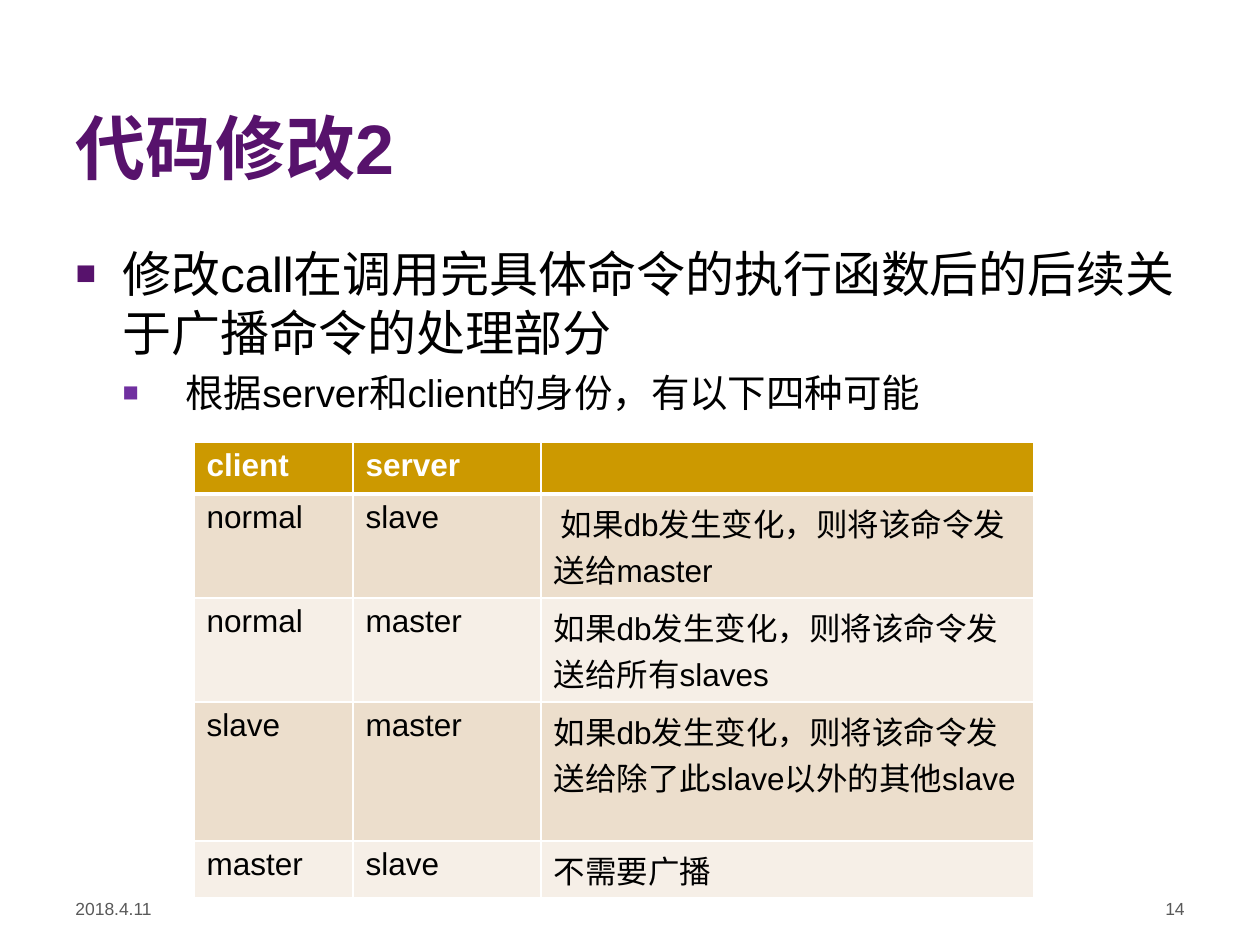
"""Build the slide on code change 2, with its table of broadcast cases."""
import pptx
import pptx.dml.color
import pptx.enum.text
import pptx.oxml
import pptx.oxml.ns
import pptx.util

TITLE = "代码修改2"
POINTS = [
    {"text": "修改call在调用完具体命令的执行函数后的后续关于广播命令的处理部分",
     "level": 0, "size": "point", "bullet": "accent", "margin": 47, "hanging": 47, "before": 0},
    {"text": "根据server和client的身份，有以下四种可能",
     "level": 1, "size": "subpoint", "bullet": "subaccent", "margin": 110, "hanging": 63, "before": 4.4},
]
CASES = [
    ("client", "server", ""),
    ("normal", "slave", " 如果db发生变化，则将该命令发送给master"),
    ("normal", "master", "如果db发生变化，则将该命令发送给所有slaves"),
    ("slave", "master", "如果db发生变化，则将该命令发送给除了此slave以外的其他slave"),
    ("master", "slave", "不需要广播"),
]
COLUMN_WIDTHS = [159, 188, 493]
ROW_HEIGHTS = [52, 104, 104, 139, 57]
FOOTERS = [("2018.4.11", 63, "LEFT"), ("14", 903, "RIGHT")]

THEME = {
    "font": "Arial",
    "colors": {"accent": "57126C", "subaccent": "7030A0", "text": "000000", "muted": "595959",
               "white": "FFFFFF", "header": "CC9900", "odd": "ECDECC", "even": "F6EFE7"},
    "sizes": {"title": 40, "point": 28, "subpoint": 22, "table": 18, "footer": 10},
}
SCALE = 914400 / 126


def px(length):
    """Turn px into EMU."""
    return pptx.util.Emu(round(length * SCALE))


def color(name):
    """Look up a theme colour."""
    return pptx.dml.color.RGBColor.from_string(THEME["colors"][name])


def place(shape, left, top, width, height):
    """Move and size a shape in px."""
    shape.left, shape.top, shape.width, shape.height = map(px, (left, top, width, height))


def write(paragraph, text, size="table", fill="text", bold=False, align="LEFT"):
    """Put formatted text in a paragraph."""
    paragraph.alignment = getattr(pptx.enum.text.PP_ALIGN, align)
    font = paragraph.font
    if text:
        run = paragraph.add_run()
        run.text = text
        font = run.font
    font.name = THEME["font"]
    font.size = pptx.util.Pt(THEME["sizes"][size])
    font.bold = bold
    font.color.rgb = color(fill)


def add_xml(parent, xml):
    """Append a DrawingML element."""
    namespace = pptx.oxml.ns.nsdecls("a")
    parent.append(pptx.oxml.parse_xml(xml.replace(" ", f" {namespace} ", 1)))


def add_bullet(paragraph, name, margin, hanging):
    """Give a paragraph a square bullet and a hanging indent."""
    properties = paragraph._p.get_or_add_pPr()
    properties.set("marL", str(px(margin)))
    properties.set("indent", str(-px(hanging)))
    add_xml(properties, f'<a:buClr ><a:srgbClr val="{THEME["colors"][name]}"/></a:buClr>')
    add_xml(properties, '<a:buSzPct val="70000"/>')
    add_xml(properties, f'<a:buFont typeface="{THEME["font"]}"/>')
    add_xml(properties, '<a:buChar char="■"/>')


def add_borders(cell, row):
    """Draw white cell borders, thick below the header row."""
    widths = {"L": 1, "R": 1, "T": 3 if row == 1 else 1, "B": 3 if row == 0 else 1}
    for side, width in widths.items():
        add_xml(cell._tc.get_or_add_tcPr(),
                f'<a:ln{side} w="{pptx.util.Pt(width)}"><a:solidFill>'
                f'<a:srgbClr val="{THEME["colors"]["white"]}"/></a:solidFill></a:ln{side}>')


def add_title(slide):
    """Fill the title placeholder."""
    shape = slide.shapes.title
    place(shape, 63, 16, 1040, 179)
    frame = shape.text_frame
    frame.auto_size = pptx.enum.text.MSO_AUTO_SIZE.NONE
    frame.vertical_anchor = pptx.enum.text.MSO_ANCHOR.BOTTOM
    write(frame.paragraphs[0], TITLE, size="title", fill="accent", bold=True)


def add_points(slide):
    """Fill the body placeholder with the bulleted list."""
    shape = slide.placeholders[1]
    place(shape, 63, 237, 1134, 650)
    frame = shape.text_frame
    frame.auto_size = pptx.enum.text.MSO_AUTO_SIZE.NONE
    for index, point in enumerate(POINTS):
        paragraph = frame.add_paragraph() if index else frame.paragraphs[0]
        paragraph.level = point["level"]
        paragraph.space_before = pptx.util.Pt(point["before"])
        add_bullet(paragraph, point["bullet"], point["margin"], point["hanging"])
        write(paragraph, point["text"], size=point["size"])


def add_cases(slide):
    """Add the table of client and server roles."""
    frame = slide.shapes.add_table(len(CASES), len(COLUMN_WIDTHS), px(194), px(442),
                                   px(sum(COLUMN_WIDTHS)), px(sum(ROW_HEIGHTS)))
    table = frame.table
    for column, width in zip(table.columns, COLUMN_WIDTHS):
        column.width = px(width)
    for row, (texts, height) in enumerate(zip(CASES, ROW_HEIGHTS)):
        table.rows[row].height = px(height)
        header = row == 0
        background = "header" if header else ("even", "odd")[row % 2]
        for column, text in enumerate(texts):
            cell = table.cell(row, column)
            add_borders(cell, row)
            cell.fill.solid()
            cell.fill.fore_color.rgb = color(background)
            write(cell.text_frame.paragraphs[0], text, fill="white" if header else "text", bold=header)


def add_footers(slide):
    """Add the date and the page number."""
    for text, left, align in FOOTERS:
        shape = slide.shapes.add_textbox(px(left), px(892), px(294), px(49))
        shape.text_frame.word_wrap = True
        write(shape.text_frame.paragraphs[0], text, size="footer", fill="muted", align=align)


def main():
    """Build and save the presentation."""
    presentation = pptx.Presentation()
    presentation.slide_width, presentation.slide_height = px(1260), px(945)
    slide = presentation.slides.add_slide(presentation.slide_layouts[1])
    add_title(slide)
    add_points(slide)
    add_footers(slide)
    add_cases(slide)
    presentation.save("out.pptx")


if __name__ == "__main__":
    main()
